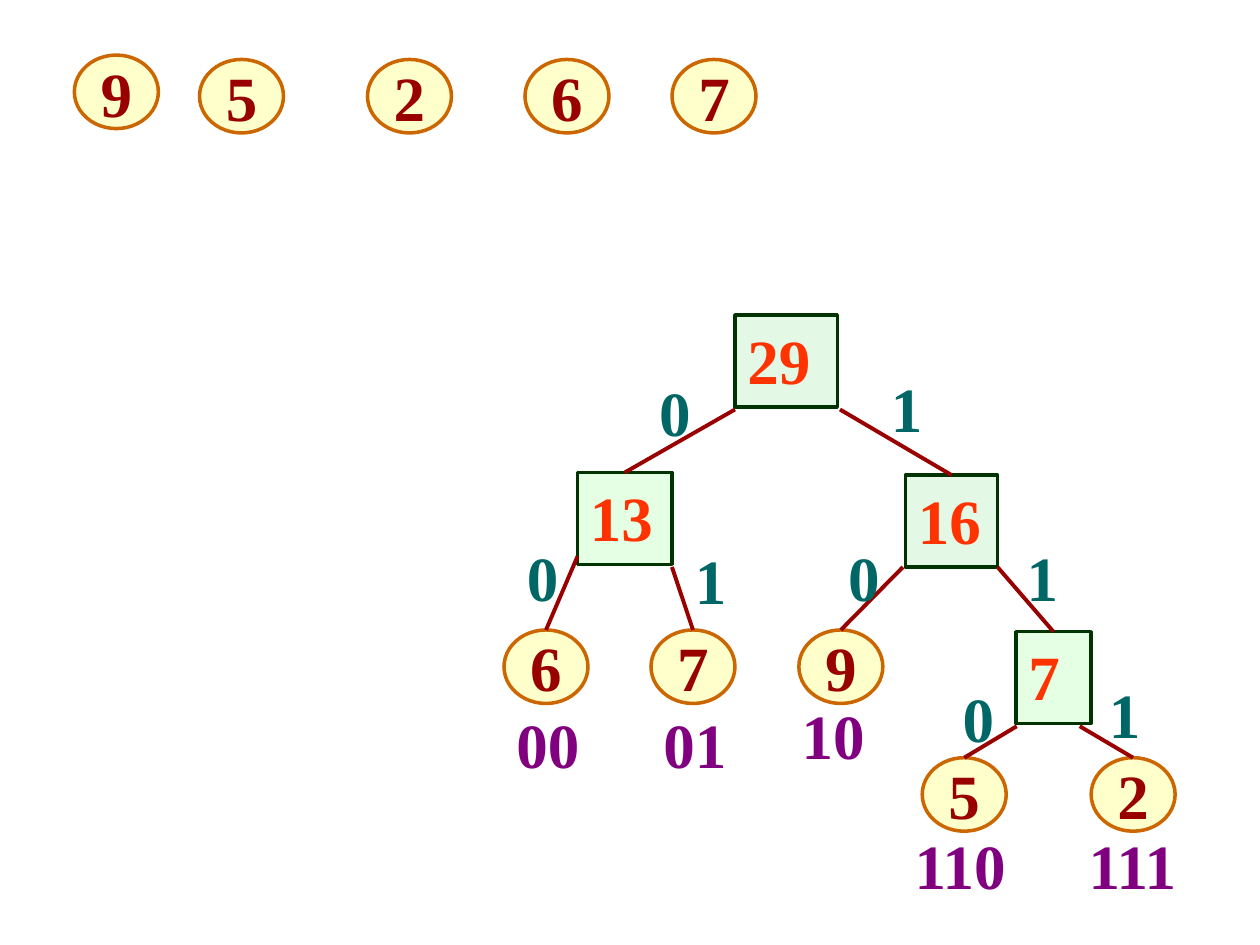
"""Build a slide showing a Huffman tree with its leaf weights and codes."""
import pptx
import pptx.dml.color
import pptx.enum.shapes
import pptx.enum.text
import pptx.oxml.ns
import pptx.util
from lxml import etree

Pt = pptx.util.Pt
RGBColor = pptx.dml.color.RGBColor
MSO_SHAPE = pptx.enum.shapes.MSO_SHAPE
ANCHOR = pptx.enum.text.MSO_ANCHOR
ALIGN = pptx.enum.text.PP_ALIGN
qn = pptx.oxml.ns.qn

CREAM = RGBColor(0xFF, 0xFF, 0x99)
ORANGE = RGBColor(0xCC, 0x66, 0x00)
MAROON = RGBColor(0x99, 0x00, 0x00)
MINT = RGBColor(0xCC, 0xFF, 0xCC)
SAGE = RGBColor(0xCA, 0xF2, 0xCE)
FOREST = RGBColor(0x00, 0x33, 0x00)
RED = RGBColor(0xFF, 0x33, 0x00)
TEAL = RGBColor(0x00, 0x66, 0x66)
PURPLE = RGBColor(0x80, 0x00, 0x80)


def put_text(sp, text, color, size=36, font="Times New Roman", align=ALIGN.LEFT,
             anchor=ANCHOR.TOP, wrap=False):
    tf = sp.text_frame
    tf.word_wrap = wrap
    tf.vertical_anchor = anchor
    p = tf.paragraphs[0]
    p.alignment = align
    r = p.add_run()
    r.text = text
    r.font.name = font
    r.font.size = Pt(size)
    r.font.bold = True
    r.font.color.rgb = color


class TreeSlide:
    def __init__(self, s):
        self.s = s
        self.outline = 2
        self.edge_width = 2.25
        self.alpha = "50000"

    def node(self, kind, x, y, w, h, fill, line):
        sp = self.s.shapes.add_shape(kind, Pt(x), Pt(y), Pt(w), Pt(h))
        sp.shadow.inherit = False
        sp.fill.solid()
        sp.fill.fore_color.rgb = fill
        clr = sp.fill._xPr.find(qn("a:solidFill"))[0]
        etree.SubElement(clr, qn("a:alpha")).set("val", self.alpha)
        sp.line.color.rgb = line
        sp.line.width = Pt(self.outline)
        return sp

    def leaf(self, text, x, y):
        sp = self.node(MSO_SHAPE.OVAL, x, y, 48, 42, CREAM, ORANGE)
        put_text(sp, text, MAROON, align=ALIGN.CENTER, anchor=ANCHOR.MIDDLE)
        return sp

    def inner(self, text, x, y, w, fill):
        sp = self.node(MSO_SHAPE.RECTANGLE, x, y, w, 52.5, fill, FOREST)
        put_text(sp, text, RED, wrap=True)
        return sp

    def edge(self, x, y, child):
        cx = self.s.shapes.add_connector(
            pptx.enum.shapes.MSO_CONNECTOR.STRAIGHT, Pt(x), Pt(y), Pt(x), Pt(y))
        cx.end_connect(child, 0)
        cx.line.color.rgb = MAROON
        cx.line.width = Pt(self.edge_width)
        etree.SubElement(cx._element.spPr, qn("a:effectLst"))

    def label(self, text, x, y, color):
        width = 14.4 + 18 * len(text)
        sp = self.s.shapes.add_textbox(Pt(x), Pt(y), Pt(width), Pt(50.4))
        put_text(sp, text, color)


def main():
    prs = pptx.Presentation()
    prs.slide_width, prs.slide_height = Pt(720), Pt(540)
    tree = TreeSlide(prs.slides.add_slide(prs.slide_layouts[6]))

    for text, x, y in [("9", 42.5, 31.5), ("5", 114, 34), ("2", 210, 34),
                       ("6", 300, 34), ("7", 384, 34)]:
        tree.leaf(text, x, y)

    tree.inner("29", 420, 180, 58.5, SAGE)
    n13 = tree.inner("13", 330, 270, 54, MINT)
    n16 = tree.inner("16", 517.5, 271.5, 52.5, SAGE)
    n7 = tree.inner("7", 580.5, 361, 43, MINT)
    leaf6 = tree.leaf("6", 288, 360)
    leaf7 = tree.leaf("7", 372, 360)
    leaf9 = tree.leaf("9", 456.5, 360)
    leaf5 = tree.leaf("5", 527, 433)
    leaf2 = tree.leaf("2", 623.5, 433)

    for x, y, child in [(420, 234, n13), (480, 234, n16),
                        (330, 318, leaf6), (384, 324, leaf7),
                        (516, 324, leaf9), (570, 324, n7),
                        (581, 415, leaf5), (617, 415, leaf2)]:
        tree.edge(x, y, child)

    bits = [("0", 369.5, 210), ("1", 502, 207.5), ("0", 294, 304), ("1", 390, 306),
            ("0", 477.5, 304), ("1", 579.5, 304), ("0", 543, 384.5), ("1", 626.5, 382.5)]
    for text, x, y in bits:
        tree.label(text, x, y, TEAL)

    codes = [("00", 288, 399.5), ("01", 372, 399.5), ("10", 451, 394.5),
             ("110", 515.5, 469), ("111", 615, 469)]
    for text, x, y in codes:
        tree.label(text, x, y, PURPLE)

    prs.save("out.pptx")


if __name__ == "__main__":
    main()
